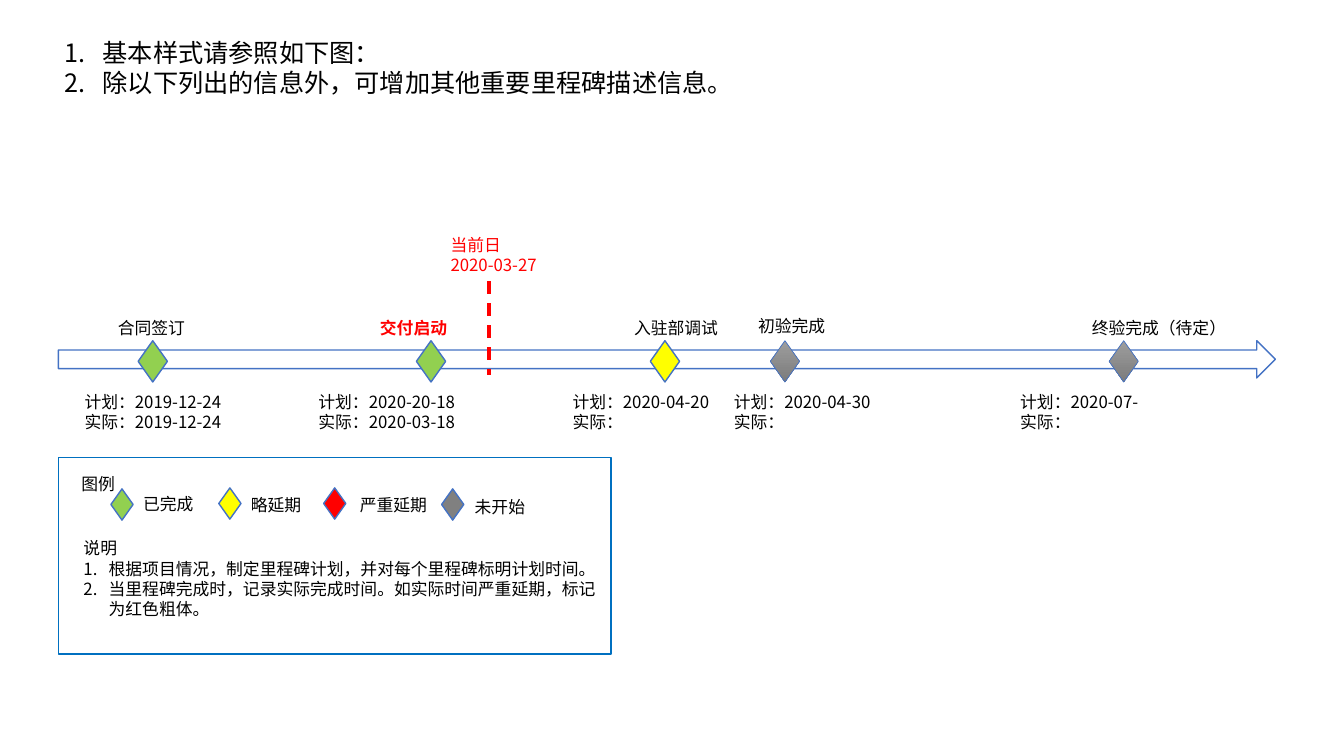
from lxml import etree
from pptx import Presentation
from pptx.dml.color import RGBColor
from pptx.enum.dml import MSO_LINE
from pptx.enum.shapes import MSO_CONNECTOR, MSO_SHAPE
from pptx.enum.text import MSO_AUTO_SIZE
from pptx.oxml.ns import qn
from pptx.util import Inches, Pt

FONT = "Noto Sans CJK SC"
BLACK = RGBColor(0x00, 0x00, 0x00)
RED = RGBColor(0xFF, 0x00, 0x00)
GREEN = RGBColor(0x92, 0xD0, 0x50)
YELLOW = RGBColor(0xFF, 0xFF, 0x00)
GRAY = RGBColor(0x80, 0x80, 0x80)
LIGHT_GRAY = RGBColor(0x9D, 0x9D, 0x9D)
DARK_GRAY = RGBColor(0x7C, 0x7C, 0x7C)
BLUE = RGBColor(0x44, 0x72, 0xC4)
FRAME_BLUE = RGBColor(0x00, 0x70, 0xC0)

prs = Presentation()
prs.slide_width, prs.slide_height = Inches(13.33), Inches(7.5)
s = prs.slides.add_slide(prs.slide_layouts[6])


def add_outlined(kind, x, y, w, h, fill=None, line=BLUE):
    sp = s.shapes.add_shape(kind, Inches(x), Inches(y), Inches(w), Inches(h))
    sp.shadow.inherit = False
    if fill is None:
        sp.fill.background()
    else:
        sp.fill.solid()
        sp.fill.fore_color.rgb = fill
    sp.line.color.rgb = line
    sp.line.width = Pt(1)
    return sp


def add_text(x, y, w, h, lines, size=12, color=BLACK, bold=False, indent=0, first=0):
    tb = s.shapes.add_textbox(Inches(x), Inches(y), Inches(w), Inches(h))
    tf = tb.text_frame
    tf.word_wrap = True
    tf.auto_size = MSO_AUTO_SIZE.SHAPE_TO_FIT_TEXT
    for i, line in enumerate(lines):
        p = tf.paragraphs[0] if i == 0 else tf.add_paragraph()
        r = p.add_run()
        r.text = line
        r.font.size = Pt(size)
        r.font.name = FONT
        r.font.bold = bold
        r.font.color.rgb = color
        etree.SubElement(r._r.get_or_add_rPr(), qn("a:ea"), typeface=FONT)
        if indent and i >= first:
            pPr = p._p.get_or_add_pPr()
            pPr.set("marL", str(Inches(indent)))
            pPr.set("indent", str(-Inches(indent)))
            etree.SubElement(pPr, qn("a:buFont"), typeface="+mj-lt")
            etree.SubElement(pPr, qn("a:buAutoNum"), type="arabicPeriod")


add_text(0.54, 0.32, 12.15, 0.71,
         ["基本样式请参照如下图：", "除以下列出的信息外，可增加其他重要里程碑描述信息。"],
         size=18, indent=0.38)

add_outlined(MSO_SHAPE.RIGHT_ARROW, 0.58, 3.38, 12.07, 0.37)

milestones = [
    ("合同签订", 1.37, GREEN, 1.07, 3.1, 0.74, "2019-12-24", "2019-12-24"),
    ("交付启动", 4.13, GREEN, 3.67, 3.1, 3.06, "2020-20-18", "2020-03-18"),
    ("入驻部调试", 6.45, YELLOW, 6.19, 3.1, 5.58, "2020-04-20", ""),
    ("初验完成", 7.64, GRAY, 7.42, 3.08, 7.18, "2020-04-30", ""),
    ("终验完成（待定）", 11, GRAY, 10.73, 3.1, 10.02, "2020-07-", ""),
]
for name, x, fill, name_x, name_y, date_x, planned, actual in milestones:
    sp = add_outlined(MSO_SHAPE.FLOWCHART_DECISION, x, 3.38, 0.29, 0.41, fill)
    if fill == GRAY:
        sp.fill.gradient()
        sp.fill.gradient_angle = 270
        for stop, color in zip(sp.fill.gradient_stops, (LIGHT_GRAY, DARK_GRAY)):
            stop.color.rgb = color
        sp.fill.gradient_stops[0].position = 0
        sp.fill.gradient_stops[1].position = 1
        sp.line.width = Pt(0.5)
    late = name == "交付启动"
    add_text(name_x, name_y, 2.31, 0.3, [name], color=RED if late else BLACK, bold=late)
    add_text(date_x, 3.84, 2.31, 0.5, [f"计划：{planned}", f"实际：{actual}"])

today = s.shapes.add_connector(MSO_CONNECTOR.STRAIGHT, Inches(4.85), Inches(2.79),
                               Inches(4.85), Inches(3.72))
today.line.color.rgb = RED
today.line.width = Pt(2.25)
today.line.dash_style = MSO_LINE.DASH
etree.SubElement(today._element.spPr, qn("a:effectLst"))
add_text(4.37, 2.28, 2.31, 0.5, ["当前日", "2020-03-27"], color=RED)

add_outlined(MSO_SHAPE.RECTANGLE, 0.58, 4.54, 5.48, 1.95, line=FRAME_BLUE)
add_text(0.71, 4.65, 0.56, 0.3, ["图例"])
legend = [
    ("已完成", GREEN, 1.1, 4.85, 1.32, 4.85),
    ("略延期", YELLOW, 2.17, 4.84, 2.39, 4.86),
    ("严重延期", RED, 3.21, 4.84, 3.47, 4.86),
    ("未开始", GRAY, 4.38, 4.85, 4.61, 4.88),
]
for name, fill, x, y, name_x, name_y in legend:
    add_outlined(MSO_SHAPE.FLOWCHART_DECISION, x, y, 0.22, 0.31, fill)
    add_text(name_x, name_y, 1.05, 0.3, [name])

add_text(0.73, 5.29, 5.33, 0.91,
         ["说明", "根据项目情况，制定里程碑计划，并对每个里程碑标明计划时间。",
          "当里程碑完成时，记录实际完成时间。如实际时间严重延期，标记为红色粗体。"],
         indent=0.25, first=1)

prs.save("out.pptx")
